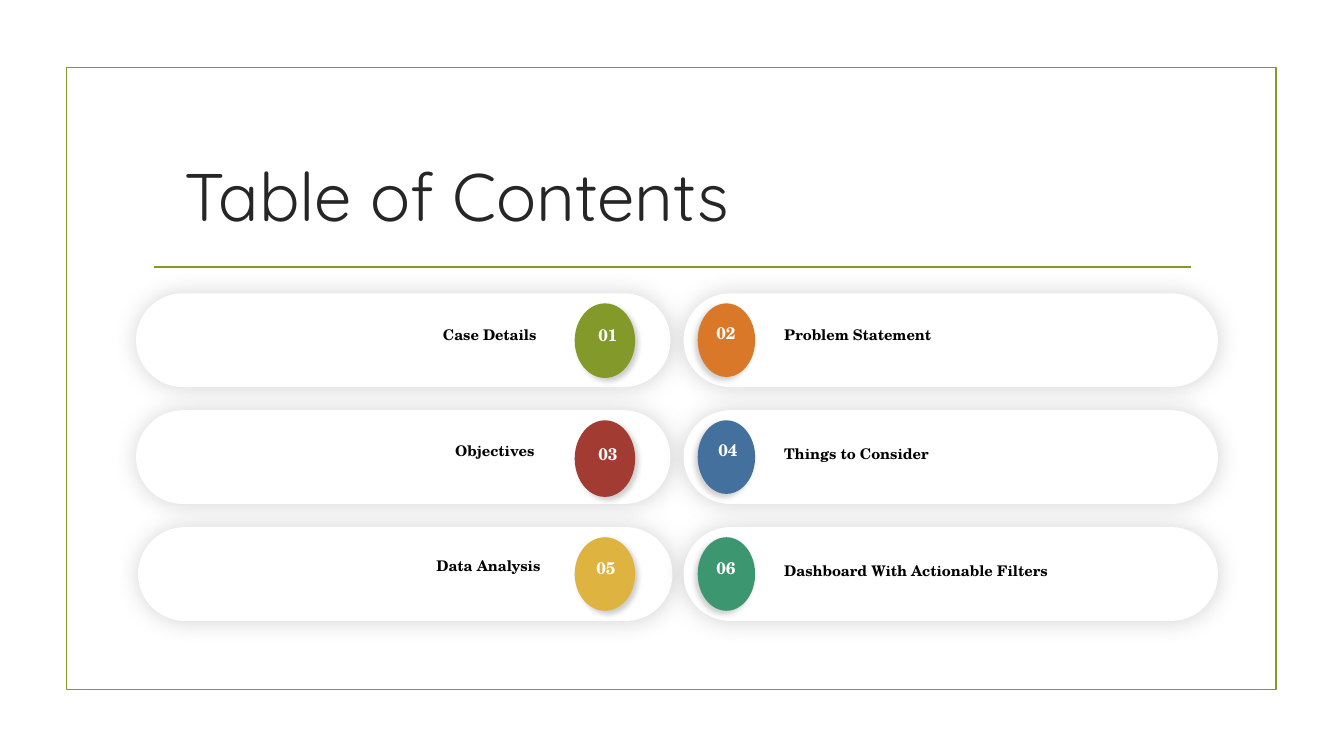
from dataclasses import dataclass

from lxml import etree
from pptx import Presentation
from pptx.dml.color import RGBColor
from pptx.enum.shapes import MSO_CONNECTOR, MSO_SHAPE
from pptx.enum.text import MSO_ANCHOR, PP_ALIGN
from pptx.oxml.ns import qn
from pptx.util import Inches, Pt

RECTANGLE = MSO_SHAPE.RECTANGLE
PILL = MSO_SHAPE.ROUNDED_RECTANGLE
OVAL = MSO_SHAPE.OVAL
STRAIGHT = MSO_CONNECTOR.STRAIGHT
LEFT, CENTER, RIGHT = PP_ALIGN.LEFT, PP_ALIGN.CENTER, PP_ALIGN.RIGHT
TOP, MIDDLE = MSO_ANCHOR.TOP, MSO_ANCHOR.MIDDLE


@dataclass(frozen=True)
class Theme:
    title_font: str = "Quicksand"
    body_font: str = "TeX Gyre Schola"
    title_size: float = 48
    label_size: float = 10.5
    number_size: float = 12
    line_width: float = 1.25
    accent: str = "83992A"
    title: str = "262626"
    label: str = "000000"
    white: str = "FFFFFF"
    shadow: str = "000000"


@dataclass(frozen=True)
class Entry:
    number: str
    label: str
    color: str
    pill_left: float
    badge_height: float
    label_left: float
    label_drop: float
    number_center: float
    number_drop: float


@dataclass(frozen=True)
class Column:
    align: PP_ALIGN
    badge_left: float
    badge_width: float
    shadow_opacity: int
    shadow_angle: int
    entries: tuple


THEME = Theme()
TITLE = "Table of Contents"
COLUMNS = (
    Column(RIGHT, 5.7, 0.6, 20, 45, (
        Entry("01", "Case Details", "83992A", 1.35, 0.74, 2.46, 0.27, 6.03, 0.26),
        Entry("03", "Objectives", "A23C33", 1.35, 0.76, 2.44, 0.26, 6.03, 0.28),
        Entry("05", "Data Analysis", "DEB340", 1.37, 0.73, 2.5, 0.25, 6.01, 0.25),
    )),
    Column(LEFT, 6.92, 0.57, 18, 135, (
        Entry("02", "Problem Statement", "D97828", 6.78, 0.73, 7.68, 0.27, 7.2, 0.24),
        Entry("04", "Things to Consider", "44709D", 6.78, 0.73, 7.68, 0.29, 7.22, 0.24),
        Entry("06", "Dashboard With Actionable Filters", "3C9770", 6.78, 0.73, 7.68, 0.29, 7.2, 0.25),
    )),
)
ROW_TOP, ROW_PITCH = 2.91, 1.16
PILL_WIDTH, PILL_HEIGHT = 5.3, 0.93
BADGE_DROP = 0.1
LABEL_WIDTH, LABEL_HEIGHT = 2.96, 0.36
NUMBER_WIDTH, NUMBER_HEIGHT = 0.5, 0.39


def rgb(value):
    return RGBColor.from_string(value)


def inches(*lengths):
    return [Inches(length) for length in lengths]


def set_line(line):
    line.color.rgb = rgb(THEME.accent)
    line.width = Pt(THEME.line_width)


def add_shadow(shape, opacity, blur, distance, angle):
    effects = shape._element.spPr.find(qn("a:effectLst"))
    outer = etree.SubElement(
        effects, qn("a:outerShdw"), blurRad=str(Pt(blur)), dist=str(Pt(distance)),
        dir=str(angle * 60000), algn="ctr", rotWithShape="0")
    color = etree.SubElement(outer, qn("a:srgbClr"), val=THEME.shadow)
    etree.SubElement(color, qn("a:alpha"), val=str(opacity * 1000))


def add_filled(slide, kind, box, color):
    shape = slide.shapes.add_shape(kind, *inches(*box))
    shape.shadow.inherit = False
    shape.fill.solid()
    shape.fill.fore_color.rgb = rgb(color)
    shape.line.fill.background()
    return shape


def write(shape, text, align, anchor, font_name, size, color, bold):
    frame = shape.text_frame
    frame.text = text
    frame.word_wrap = True
    frame.vertical_anchor = anchor
    paragraph = frame.paragraphs[0]
    paragraph.alignment = align
    font = paragraph.runs[0].font
    font.name = font_name
    font.size = Pt(size)
    font.bold = bold
    font.color.rgb = rgb(color)


def add_text(slide, box, text, align, size, color):
    shape = slide.shapes.add_textbox(*inches(*box))
    write(shape, text, align, TOP, THEME.body_font, size, color, True)


def add_frame(slide):
    frame = slide.shapes.add_shape(RECTANGLE, *inches(0.66, 0.67, 12, 6.17))
    frame.shadow.inherit = False
    frame.fill.background()
    set_line(frame.line)
    rule = slide.shapes.add_connector(STRAIGHT, *inches(1.53, 2.65, 11.81, 2.65))
    set_line(rule.line)
    etree.SubElement(rule._element.spPr, qn("a:effectLst"))


def add_title(slide):
    title = slide.shapes.title
    title.left, title.top, title.width, title.height = inches(1.53, 1.46, 6.01, 0.94)
    write(title, TITLE, CENTER, MIDDLE, THEME.title_font, THEME.title_size, THEME.title, False)


def add_entry(slide, column, entry, top):
    pill = add_filled(slide, PILL, (entry.pill_left, top, PILL_WIDTH, PILL_HEIGHT), THEME.white)
    pill.adjustments[0] = 0.5
    add_shadow(pill, 16, 17, 0, 0)
    add_text(slide, (entry.label_left, top + entry.label_drop, LABEL_WIDTH, LABEL_HEIGHT),
             entry.label, column.align, THEME.label_size, THEME.label)
    badge = add_filled(
        slide, OVAL,
        (column.badge_left, top + BADGE_DROP, column.badge_width, entry.badge_height), entry.color)
    add_shadow(badge, column.shadow_opacity, 4, 3, column.shadow_angle)
    add_text(slide, (entry.number_center - NUMBER_WIDTH / 2, top + entry.number_drop,
                     NUMBER_WIDTH, NUMBER_HEIGHT),
             entry.number, CENTER, THEME.number_size, THEME.white)


def main():
    presentation = Presentation()
    presentation.slide_width, presentation.slide_height = inches(13.33, 7.5)
    slide = presentation.slides.add_slide(presentation.slide_layouts[5])
    add_frame(slide)
    add_title(slide)
    for column in COLUMNS:
        for row, entry in enumerate(column.entries):
            add_entry(slide, column, entry, ROW_TOP + row * ROW_PITCH)
    presentation.save("out.pptx")


if __name__ == "__main__":
    main()
